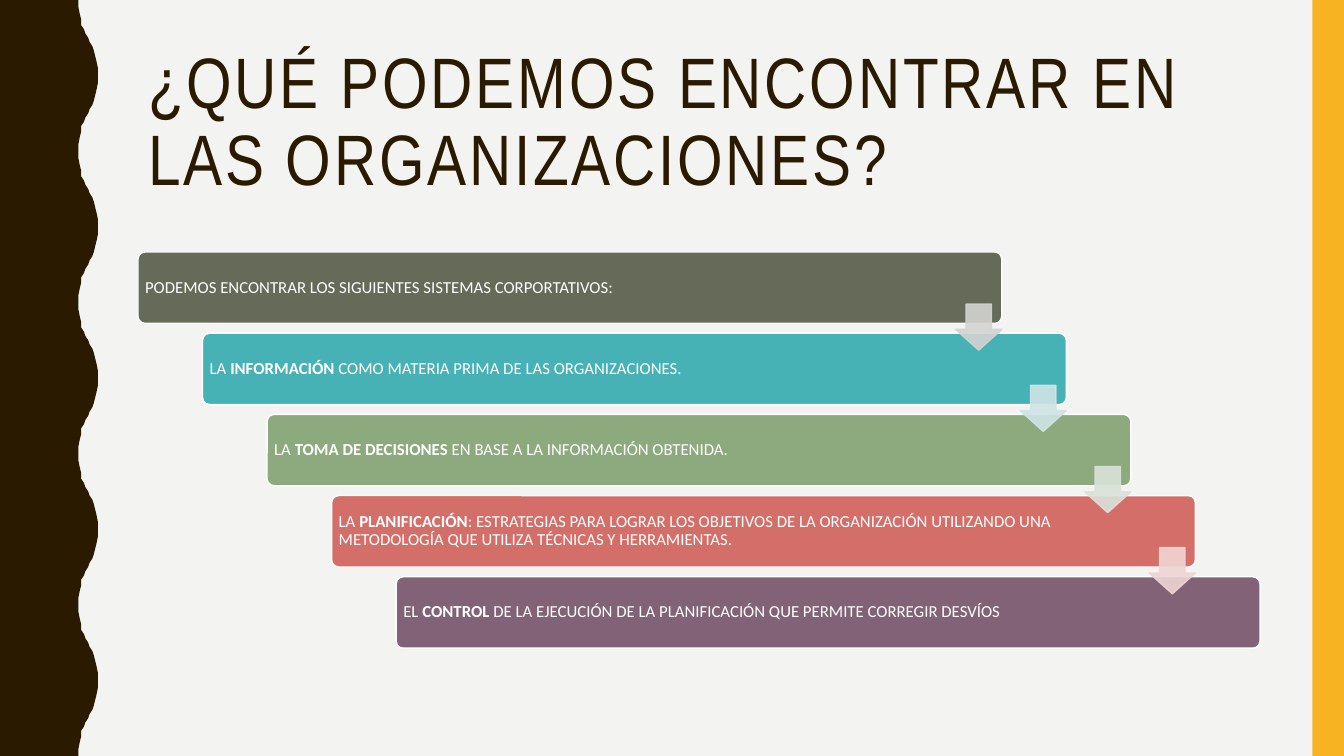
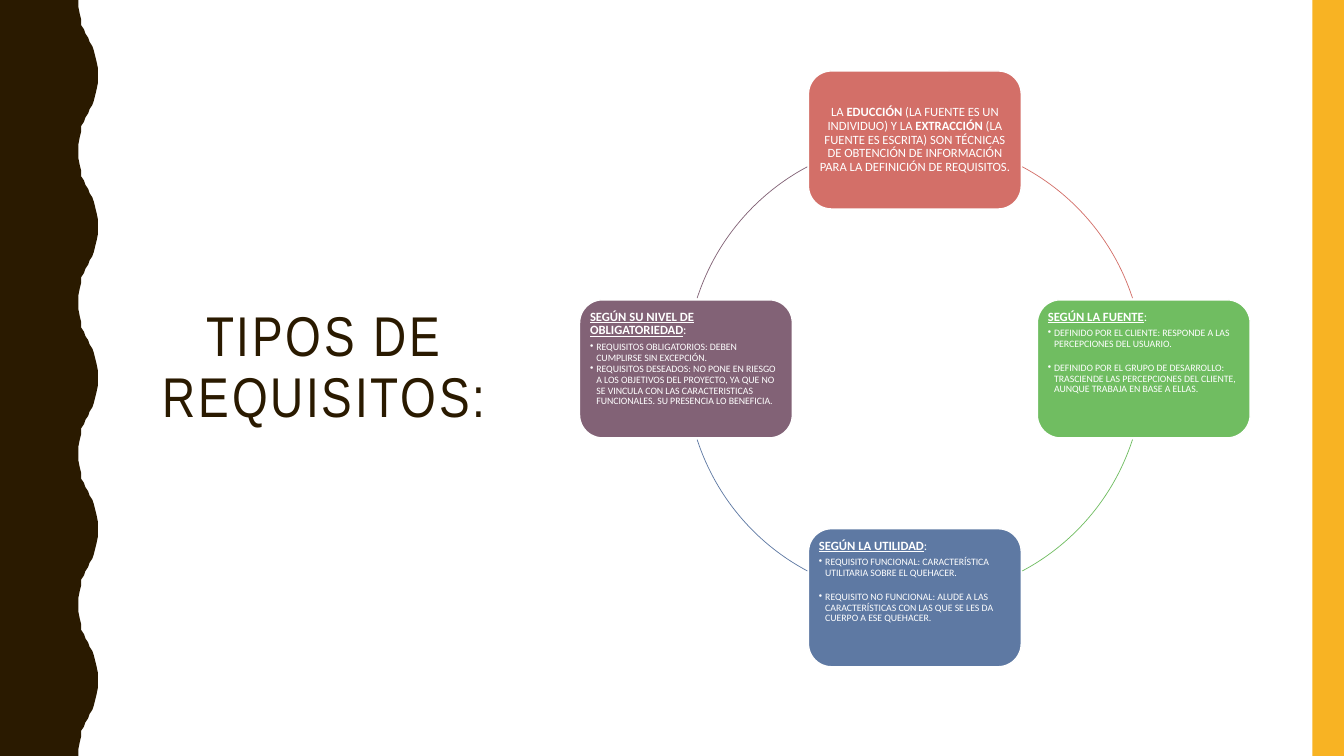
from lxml import etree
from pptx import Presentation
from pptx.dml.color import RGBColor
from pptx.enum import shapes, text
from pptx.oxml.ns import qn
from pptx.util import Pt

BROWN = RGBColor(0x2A, 0x1A, 0x00)
YELLOW = RGBColor(0xF8, 0xB3, 0x23)
PALE = RGBColor(0xF3, 0xF3, 0xF2)
WHITE = RGBColor(0xFF, 0xFF, 0xFF)
OLIVE = RGBColor(0x65, 0x6A, 0x59)
TEAL = RGBColor(0x46, 0xB2, 0xB5)
SAGE = RGBColor(0x8C, 0xAA, 0x7E)
CORAL = RGBColor(0xD3, 0x6F, 0x68)
PLUM = RGBColor(0x82, 0x62, 0x76)
GREEN = RGBColor(0x70, 0xBD, 0x61)
BLUE = RGBColor(0x5E, 0x79, 0xA3)
ARROW_TINTS = [
    RGBColor(0xD3, 0xD4, 0xD1), RGBColor(0xCF, 0xE4, 0xE5),
    RGBColor(0xDA, 0xE2, 0xD8), RGBColor(0xEF, 0xD5, 0xD4),
]
TITLE_FONT, BODY_FONT = "Arial Narrow", "Calibri"
WIDTH, HEIGHT = 960, 540

# Half a wave of the left band, from trough to crest
HALF_WAVE = [
    (56.2, 0), (56.2, 5), (56.9, 10), (57.6, 14.4), (58.3, 18), (59.8, 21),
    (61.2, 24), (62.6, 27), (64.1, 30), (65.5, 33), (67, 36), (68.4, 39.6),
    (69.1, 44), (69.8, 49), (69.8, 54),
]
WAVE = HALF_WAVE + [(x, 108 - y) for x, y in reversed(HALF_WAVE[1:-1])]

# Each step: fill and runs (text, bold)
STEPS = [
    (OLIVE, [("PODEMOS ENCONTRAR LOS SIGUIENTES SISTEMAS CORPORTATIVOS:", False)]),
    (TEAL, [("LA ", False), ("INFORMACIÓN", True),
            (" COMO MATERIA PRIMA DE LAS ORGANIZACIONES.", False)]),
    (SAGE, [("LA ", False), ("TOMA DE DECISIONES", True),
            (" EN BASE A LA INFORMACIÓN OBTENIDA.", False)]),
    (CORAL, [("LA ", False), ("PLANIFICACIÓN", True),
             (": ESTRATEGIAS PARA LOGRAR LOS OBJETIVOS DE LA ORGANIZACIÓN UTILIZANDO "
              "UNA METODOLOGÍA QUE UTILIZA TÉCNICAS Y HERRAMIENTAS.", False)]),
    (PLUM, [("EL ", False), ("CONTROL", True),
            (" DE LA EJECUCIÓN DE LA PLANIFICACIÓN QUE PERMITE CORREGIR DESVÍOS", False)]),
]
TECHNIQUES = [
    ("LA ", False), ("EDUCCIÓN", True),
    (" (LA FUENTE ES UN INDIVIDUO) Y LA ", False), ("EXTRACCIÓN", True),
    (" (LA FUENTE ES ESCRITA) SON TÉCNICAS DE OBTENCIÓN DE INFORMACIÓN "
     "PARA LA DEFINICIÓN DE REQUISITOS.", False),
]
# Each kind: fill, direction from the centre, heading, gap between bullets, bullets
KINDS = [
    (GREEN, (1, 0), "SEGÚN LA FUENTE", 9.8,
     ["DEFINIDO POR EL CLIENTE: RESPONDE A LAS PERCEPCIONES DEL USUARIO.",
      "DEFINIDO POR EL GRUPO DE DESARROLLO: TRASCIENDE LAS PERCEPCIONES DEL "
      "CLIENTE, AUNQUE TRABAJA EN BASE A ELLAS."]),
    (BLUE, (0, 1), "SEGÚN LA UTILIDAD", 9.8,
     ["REQUISITO FUNCIONAL: CARACTERÍSTICA UTILITARIA SOBRE EL QUEHACER.",
      "REQUISITO NO FUNCIONAL: ALUDE A LAS CARACTERÍSTICAS CON LAS QUE SE LES DA "
      "CUERPO A ESE QUEHACER."]),
    (PLUM, (-1, 0), "SEGÚN SU NIVEL DE OBLIGATORIEDAD", 1,
     ["REQUISITOS OBLIGATORIOS: DEBEN CUMPLIRSE SIN EXCEPCIÓN.",
      "REQUISITOS DESEADOS: NO PONE EN RIESGO A LOS OBJETIVOS DEL PROYECTO, YA QUE "
      "NO SE VINCULA CON LAS CARACTERISTICAS FUNCIONALES. SU PRESENCIA LO BENEFICIA."]),
]
# Start and end angles, clockwise from the top node
ARCS = [(CORAL, 298, 342), (GREEN, 18, 62), (BLUE, 118, 162), (PLUM, 198, 242)]


def add_preset(slide, kind, box, fill=None, line=None, weight=1, adjust=()):
    sp = slide.shapes.add_shape(kind, *(Pt(v) for v in box))
    sp.shadow.inherit = False
    for i, value in enumerate(adjust):
        sp.adjustments[i] = value
    if fill is None:
        sp.fill.background()
    else:
        sp.fill.solid()
        sp.fill.fore_color.rgb = fill
    if line is None:
        sp.line.fill.background()
    else:
        sp.line.color.rgb = line
        sp.line.width = Pt(weight)
    return sp


def set_frame(sp, margins, anchor):
    """Prepares the text frame; margins are left, top, right, bottom."""
    tf = sp.text_frame
    tf.word_wrap = True
    tf.vertical_anchor = anchor
    tf.margin_left, tf.margin_top, tf.margin_right, tf.margin_bottom = map(Pt, margins)
    return tf


def format_paragraph(p, align=text.PP_ALIGN.LEFT, after=0):
    p.alignment = align
    p.line_spacing = 0.9
    p.space_after = Pt(after)


def add_run(p, words, size, color=WHITE, font=BODY_FONT, bold=False, underline=False):
    r = p.add_run()
    r.text = words
    r.font.name, r.font.size = font, Pt(size)
    r.font.bold, r.font.underline = bold, underline
    r.font.color.rgb = color
    return r


def add_bullet(p, indent):
    p_pr = p._p.get_or_add_pPr()
    p_pr.set("marL", str(Pt(indent)))
    p_pr.set("indent", str(-Pt(indent)))
    etree.SubElement(p_pr, qn("a:buChar")).set("char", "•")


def move_bands_to_master(prs, slide):
    """Draws the side bands and hands them to the master, behind its text."""
    points = [(x, y + 108 * i) for i in range(5) for x, y in WAVE]
    outline = points + [(WAVE[0][0], HEIGHT), (0, HEIGHT)]
    builder = slide.shapes.build_freeform(0, 0, scale=float(Pt(1)))
    builder.add_line_segments(outline, close=True)
    wave = builder.convert_to_shape()
    wave.shadow.inherit = False
    wave.fill.solid()
    wave.fill.fore_color.rgb = BROWN
    wave.line.fill.background()
    bar = add_preset(slide, shapes.MSO_SHAPE.RECTANGLE,
                     (WIDTH - 22.5, 0, 22.5, HEIGHT), YELLOW)
    for i, band in enumerate((wave, bar)):
        band.element.nvSpPr.cNvPr.set("id", str(100 + i))
        prs.slide_master.shapes.element.insert(2 + i, band.element)


def add_title(slide, words, box, size, align):
    sp = slide.shapes.title
    sp.left, sp.top, sp.width, sp.height = map(Pt, box)
    tf = set_frame(sp, (7.2, 3.6, 7.2, 3.6), text.MSO_ANCHOR.MIDDLE)
    tf.auto_size = text.MSO_AUTO_SIZE.NONE
    p = tf.paragraphs[0]
    format_paragraph(p, align)
    r = add_run(p, words, size, BROWN, TITLE_FONT)
    r.font._element.set("spc", "200")


def add_staircase(slide, box):
    left, top, width, height = box
    step_w, step_h, arrow = 617, 51, 33
    dx = (width - step_w) / (len(STEPS) - 1)
    dy = (height - step_h) / (len(STEPS) - 1)
    for i, (fill, runs) in enumerate(STEPS):
        sp = add_preset(slide, shapes.MSO_SHAPE.ROUNDED_RECTANGLE,
                        (left + i * dx, top + i * dy, step_w, step_h),
                        fill, WHITE, adjust=[0.1])
        tf = set_frame(sp, (3.6, 3.6, 83, 3.6), text.MSO_ANCHOR.MIDDLE)
        format_paragraph(tf.paragraphs[0])
        for words, bold in runs:
            add_run(tf.paragraphs[0], words, 12, bold=bold)
    for i, tint in enumerate(ARROW_TINTS):
        sp = add_preset(slide, shapes.MSO_SHAPE.DOWN_ARROW,
                        (left + i * dx + step_w - arrow, top + i * dy + 37.2, arrow, arrow),
                        tint, tint, adjust=[0.55, 0.45])
        for color in sp.element.spPr.iter(qn("a:srgbClr")):
            etree.SubElement(color, qn("a:alpha")).set("val", "90000")


def add_cycle(slide, center, radius):
    cx, cy = center
    node_w, node_h = 152, 98.6

    def add_node(fill, direction, anchor):
        x, y = cx + radius * direction[0], cy + radius * direction[1]
        sp = add_preset(slide, shapes.MSO_SHAPE.ROUNDED_RECTANGLE,
                        (x - node_w / 2, y - node_h / 2, node_w, node_h), fill, WHITE)
        return set_frame(sp, (2.7,) * 4, anchor)

    for color, start, end in ARCS:
        add_preset(slide, shapes.MSO_SHAPE.ARC,
                   (cx - radius, cy - radius, 2 * radius, 2 * radius), line=color,
                   weight=0.5, adjust=[start * 0.6, end * 0.6])

    p = add_node(CORAL, (0, -1), text.MSO_ANCHOR.MIDDLE).paragraphs[0]
    format_paragraph(p, text.PP_ALIGN.CENTER)
    for words, bold in TECHNIQUES:
        add_run(p, words, 9, bold=bold)

    for fill, direction, heading, gap, bullets in KINDS:
        tf = add_node(fill, direction, text.MSO_ANCHOR.TOP)
        p = tf.paragraphs[0]
        format_paragraph(p, after=3.15)
        add_run(p, heading, 9, bold=True, underline=True)
        add_run(p, ":", 9)
        for words in bullets:
            p = tf.add_paragraph()
            add_bullet(p, 4.5)
            format_paragraph(p, after=gap)
            add_run(p, words, 7)


def build_organizations(slide):
    slide.background.fill.solid()
    slide.background.fill.fore_color.rgb = PALE
    add_title(slide, "¿QUÉ PODEMOS ENCONTRAR EN LAS ORGANIZACIONES?",
              (98.6, 30, 801.4, 117.4), 51, text.PP_ALIGN.LEFT)
    add_staircase(slide, (98.6, 180, 801.4, 283))


def build_requirements(slide):
    slide.background.fill.solid()
    slide.background.fill.fore_color.rgb = WHITE
    add_title(slide, "TIPOS DE REQUISITOS:",
              (98.6, 50.4, 266.4, 426), 40, text.PP_ALIGN.CENTER)
    add_cycle(slide, (653.5, 263.5), 163.5)


def main():
    prs = Presentation()
    prs.slide_width, prs.slide_height = Pt(WIDTH), Pt(HEIGHT)
    title_only = prs.slide_layouts[5]
    for build in (build_organizations, build_requirements):
        build(prs.slides.add_slide(title_only))
    move_bands_to_master(prs, prs.slides[0])
    prs.save("out.pptx")


if __name__ == "__main__":
    main()
